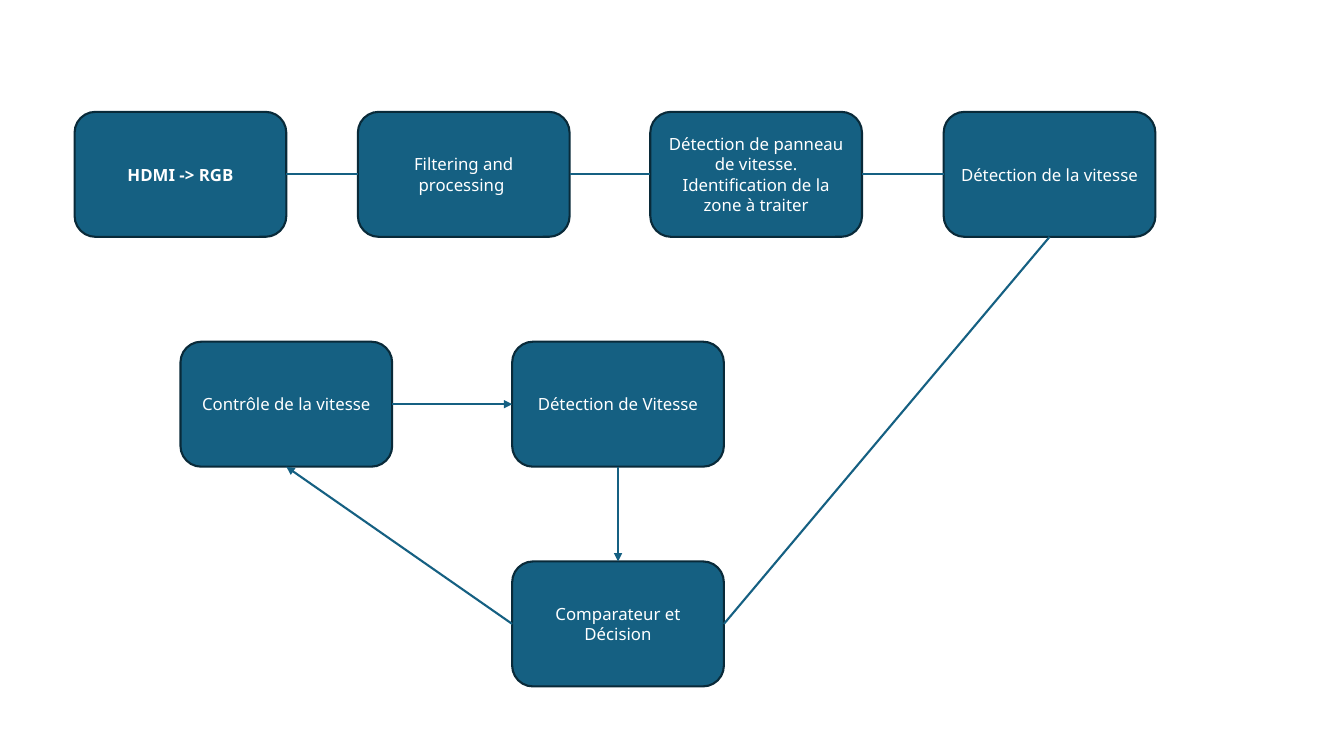
from pptx import Presentation
from pptx.dml.color import RGBColor
from pptx.enum.shapes import MSO_CONNECTOR as CONNECTOR, MSO_SHAPE as SHAPE
from pptx.enum.text import MSO_ANCHOR as ANCHOR, PP_ALIGN as ALIGN
from pptx.oxml.ns import qn
from pptx.util import Inches, Pt
from lxml.etree import SubElement

TOP, LEFT, BOTTOM, RIGHT = range(4)


def paint(color_format, color):
    color_format.rgb = RGBColor.from_string(color)


presentation = Presentation()
presentation.slide_width = Inches(13.33)
presentation.slide_height = Inches(7.5)
slide = presentation.slides.add_slide(presentation.slide_layouts[6])

steps = {
    "rgb": (0.74, 1.11, "HDMI -> RGB"),
    "filter": (3.55, 1.11, "Filtering and processing "),
    "sign": (6.45, 1.11, "Détection de panneau de vitesse. Identification de la zone à traiter"),
    "limit": (9.36, 1.11, "Détection de la vitesse"),
    "control": (1.79, 3.39, "Contrôle de la vitesse"),
    "speed": (5.08, 3.39, "Détection de Vitesse"),
    "decision": (5.08, 5.57, "Comparateur et Décision"),
}
boxes = {}
for name, (left, top, text) in steps.items():
    shape = slide.shapes.add_shape(
        SHAPE.ROUNDED_RECTANGLE, Inches(left), Inches(top), Inches(2.1), Inches(1.24))
    shape.shadow.inherit = False
    shape.fill.solid()
    paint(shape.fill.fore_color, "156082")
    paint(shape.line.color, "092A39")
    shape.line.width = Pt(1.5)
    frame = shape.text_frame
    frame.word_wrap = True
    frame.vertical_anchor = ANCHOR.MIDDLE
    frame.text = text
    paragraph = frame.paragraphs[0]
    paragraph.alignment = ALIGN.CENTER
    paragraph.font.name = "Noto Sans"
    paragraph.font.size = Pt(12)
    paragraph.font.bold = name == "rgb"
    paint(paragraph.font.color, "FFFFFF")
    boxes[name] = shape

links = [
    ("rgb", RIGHT, "filter", LEFT, False),
    ("filter", RIGHT, "sign", LEFT, False),
    ("sign", RIGHT, "limit", LEFT, False),
    ("limit", BOTTOM, "decision", RIGHT, False),
    ("decision", LEFT, "control", BOTTOM, True),
    ("speed", BOTTOM, "decision", TOP, True),
    ("control", RIGHT, "speed", LEFT, True),
]
for start, start_side, end, end_side, arrow in links:
    connector = slide.shapes.add_connector(CONNECTOR.STRAIGHT, 0, 0, 0, 0)
    connector.begin_connect(boxes[start], start_side)
    connector.end_connect(boxes[end], end_side)
    paint(connector.line.color, "156082")
    connector.line.width = Pt(1.5)
    if arrow:
        SubElement(connector.line._get_or_add_ln(), qn("a:tailEnd"), type="triangle")
    SubElement(connector._element.spPr, qn("a:effectLst"))

presentation.save("out.pptx")
